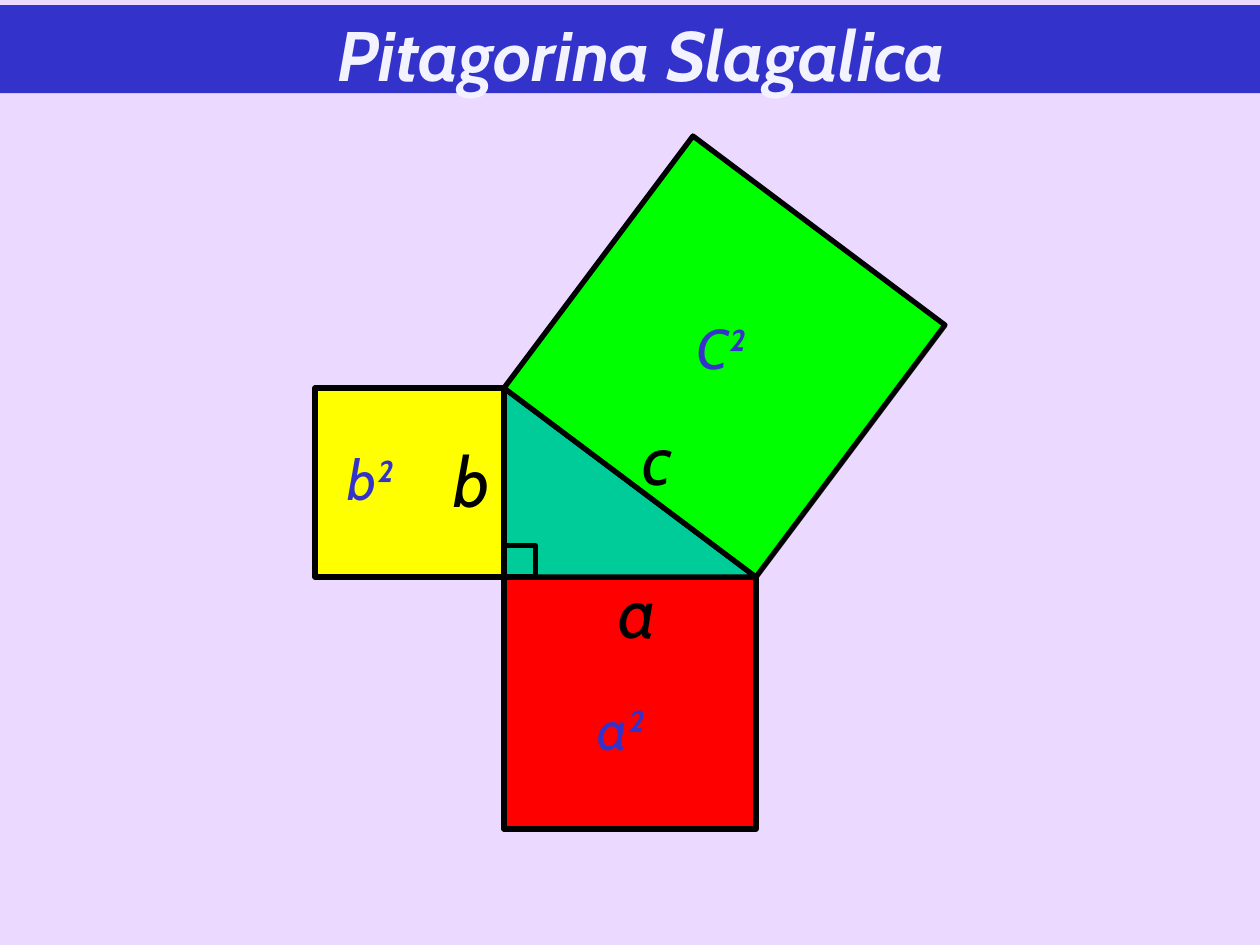
from dataclasses import dataclass

from pptx import Presentation
from pptx.dml.color import RGBColor
from pptx.enum.shapes import MSO_SHAPE
from pptx.enum.text import MSO_ANCHOR, MSO_AUTO_SIZE, PP_ALIGN
from pptx.util import Inches, Pt

RECTANGLE = MSO_SHAPE.RECTANGLE
RIGHT_TRIANGLE = MSO_SHAPE.RIGHT_TRIANGLE
TOP = MSO_ANCHOR.TOP
CENTER = PP_ALIGN.CENTER
FIT_SHAPE = MSO_AUTO_SIZE.SHAPE_TO_FIT_TEXT


@dataclass(frozen=True)
class Theme:
    font: str = "Cabin"
    background: str = "ECD9FF"
    accent: str = "3333CC"
    title: str = "F3F3FF"
    ink: str = "000000"
    triangle: str = "00CC99"
    square_a: str = "FF0000"
    square_b: str = "FFFF00"
    square_c: str = "00FF00"
    side_size: int = 40
    area_size: int = 32
    title_size: int = 40
    outline: int = 3


THEME = Theme()
CORNER_X, CORNER_Y = 4, 4.58
SIDE_A, SIDE_B = 2, 1.5
MARK = 0.25


def paint(figure, fill, outlined=True):
    figure.shadow.inherit = False
    figure.fill.solid()
    figure.fill.fore_color.rgb = RGBColor.from_string(fill)
    if outlined:
        figure.line.color.rgb = RGBColor.from_string(THEME.ink)
        figure.line.width = Pt(THEME.outline)
    else:
        figure.line.fill.background()


def add_figure(slide, kind, left, top, width, height, fill, outlined=True):
    figure = slide.shapes.add_shape(
        kind, Inches(left), Inches(top), Inches(width), Inches(height))
    paint(figure, fill, outlined)
    return figure


def add_polygon(slide, corners, fill):
    points = [(Inches(x), Inches(y)) for x, y in corners]
    builder = slide.shapes.build_freeform(*points[0])
    builder.add_line_segments(points[1:], close=True)
    paint(builder.convert_to_shape(), fill)


def write(paragraph, text, size, color, bold=False):
    run = paragraph.add_run()
    run.text = text
    run.font.name = THEME.font
    run.font.size = Pt(size)
    run.font.italic = True
    run.font.bold = bold
    run.font.color.rgb = RGBColor.from_string(color)


def add_label(slide, text, left, top, width, height, size, color, wrap):
    label = slide.shapes.add_textbox(
        Inches(left), Inches(top), Inches(width), Inches(height))
    frame = label.text_frame
    frame.word_wrap = wrap
    frame.auto_size = FIT_SHAPE
    write(frame.paragraphs[0], text, size, color)


def add_title(slide, text):
    banner = add_figure(slide, RECTANGLE, 0, 0.04, 10, 0.7, THEME.accent, False)
    frame = banner.text_frame
    frame.margin_left = Inches(0.28)
    frame.vertical_anchor = TOP
    heading = frame.paragraphs[0]
    heading.alignment = CENTER
    write(heading, text, THEME.title_size, THEME.title, True)


def add_puzzle(slide):
    apex_y = CORNER_Y - SIDE_B
    end_x = CORNER_X + SIDE_A
    add_figure(slide, RECTANGLE, CORNER_X, CORNER_Y, SIDE_A, SIDE_A, THEME.square_a)
    add_figure(slide, RIGHT_TRIANGLE, CORNER_X, apex_y, SIDE_A, SIDE_B, THEME.triangle)
    add_figure(slide, RECTANGLE, CORNER_X - SIDE_B, apex_y, SIDE_B, SIDE_B,
               THEME.square_b)
    hypotenuse_square = [
        (CORNER_X, apex_y),
        (CORNER_X + SIDE_B, apex_y - SIDE_A),
        (end_x + SIDE_B, CORNER_Y - SIDE_A),
        (end_x, CORNER_Y),
    ]
    add_polygon(slide, hypotenuse_square, THEME.square_c)
    add_figure(slide, RECTANGLE, CORNER_X, CORNER_Y - MARK, MARK, MARK, THEME.triangle)


def main():
    deck = Presentation()
    deck.slide_width, deck.slide_height = Inches(10), Inches(7.5)
    slide = deck.slides.add_slide(deck.slide_layouts[6])
    slide.background.fill.solid()
    slide.background.fill.fore_color.rgb = RGBColor.from_string(THEME.background)

    add_puzzle(slide)
    add_title(slide, "Pitagorina Slagalica")

    sides = [("a", 4.81, 4.46, 0.92), ("b", 3.5, 3.42, 0.5), ("c", 5, 3.25, 0.83)]
    for text, left, top, width in sides:
        add_label(slide, text, left, top, width, 0.77,
                  THEME.side_size, THEME.ink, True)

    areas = [("C²", 5.43, 2.44, 0.69), ("b²", 2.66, 3.48, 0.67),
             ("a²", 4.64, 5.46, 0.66)]
    for text, left, top, width in areas:
        add_label(slide, text, left, top, width, 0.64,
                  THEME.area_size, THEME.accent, False)

    deck.save("out.pptx")


if __name__ == "__main__":
    main()
